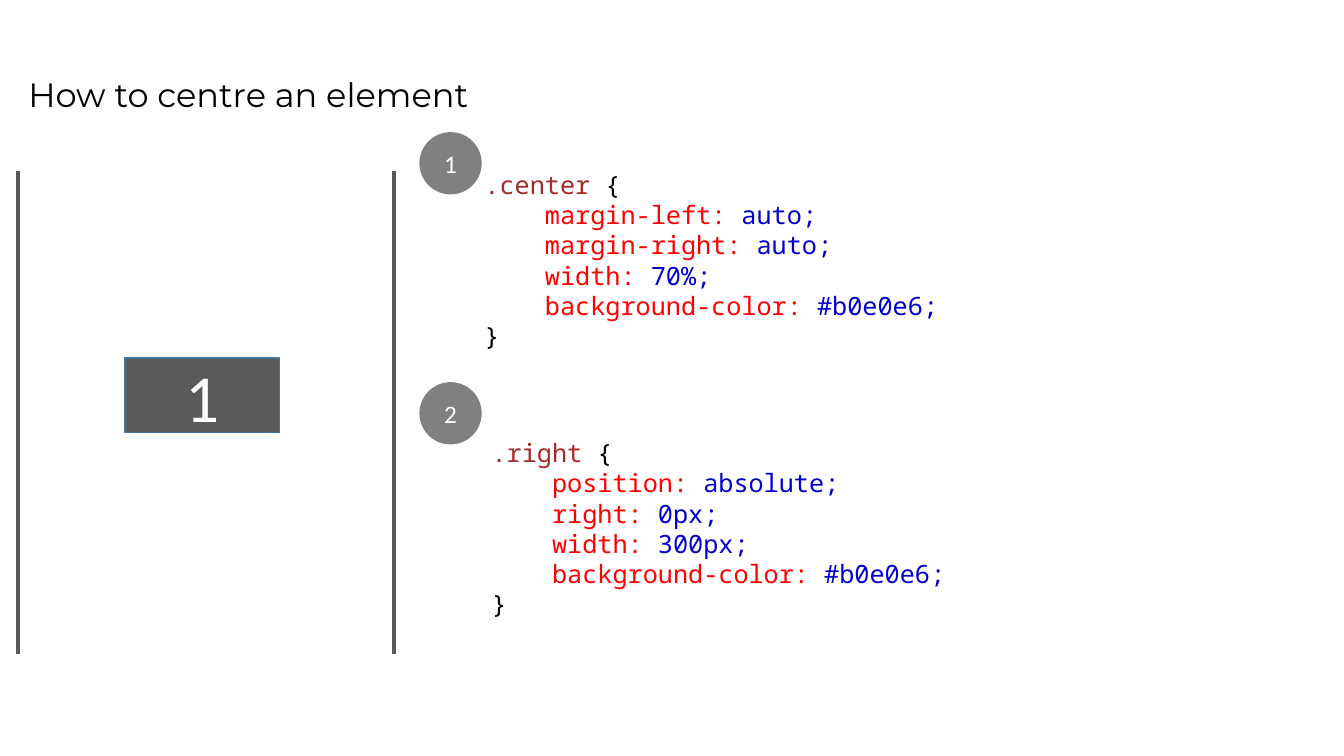
"""Build a slide that shows two CSS ways to place an element."""
from lxml import etree
from pptx import Presentation
from pptx import util as u
from pptx.dml.color import RGBColor
from pptx.enum import shapes, text
from pptx.oxml.ns import qn

TITLE = "How to centre an element"
RULES = [
    ("1", ".center", [("margin-left:", "auto;"), ("margin-right:", "auto;"),
                      ("width:", "70%;"), ("background-color:", "#b0e0e6;")]),
    ("2", ".right", [("position:", "absolute;"), ("right:", "0px;"),
                     ("width:", "300px;"), ("background-color:", "#b0e0e6;")]),
]
CODE_PLACES = [(11.96, 4.14), (12.14, 10.9)]
BADGE_LEFT, BADGE_TOPS, BADGE_SIZE = 10.57, (3.33, 9.63), 1.57
RAIL_LEFTS, RAIL_TOP, RAIL_BOTTOM = (0.46, 9.93), 4.32, 16.48
COLORS = {
    "dark": "595959", "badge": "808080", "edge": "43739E", "white": "FFFFFF",
    "black": "000000", "selector": "A52A2A", "property": "FF0000", "value": "0000CD",
}


def color(name):
    return RGBColor.from_string(COLORS[name])


def add_run(paragraph, words, size, font, color_name):
    run = paragraph.add_run()
    run.text = words
    run.font.size = u.Pt(size)
    run.font.name = font
    run.font.color.rgb = color(color_name)


def add_label(slide, kind, box, fill, label, size):
    shape = slide.shapes.add_shape(kind, *map(u.Cm, box))
    shape.shadow.inherit = False
    shape.fill.solid()
    shape.fill.fore_color.rgb = color(fill)
    shape.line.fill.background()
    shape.text_frame.vertical_anchor = text.MSO_ANCHOR.MIDDLE
    paragraph = shape.text_frame.paragraphs[0]
    paragraph.alignment = text.PP_ALIGN.CENTER
    add_run(paragraph, label, size, "Calibri", "white")
    return shape


def add_code(slide, place, selector, declarations):
    box = slide.shapes.add_textbox(*map(u.Cm, (*place, 16.93, 4.88)))
    box.text_frame.word_wrap = True
    paragraph = box.text_frame.paragraphs[0]
    code_font = (18, "Noto Sans Mono")
    add_run(paragraph, selector + " ", *code_font, "selector")
    add_run(paragraph, "{", *code_font, "black")
    for name, value in declarations:
        paragraph.add_line_break()
        add_run(paragraph, "    " + name, *code_font, "property")
        add_run(paragraph, " " + value, *code_font, "value")
    paragraph.add_line_break()
    add_run(paragraph, "}", *code_font, "black")


def add_rail(slide, left):
    ends = map(u.Cm, (left, RAIL_TOP, left, RAIL_BOTTOM))
    rail = slide.shapes.add_connector(shapes.MSO_CONNECTOR.STRAIGHT, *ends)
    rail.line.color.rgb = color("dark")
    rail.line.width = u.Pt(3)
    etree.SubElement(rail._element.spPr, qn("a:effectLst"))


def set_title(slide):
    title = slide.shapes.title
    title.left, title.top, title.width, title.height = map(u.Cm, (0.46, 1.73, 14.66, 1.27))
    frame = title.text_frame
    frame.word_wrap = True
    frame.auto_size = text.MSO_AUTO_SIZE.NONE
    frame.vertical_anchor = text.MSO_ANCHOR.TOP
    paragraph = frame.paragraphs[0]
    paragraph.alignment = text.PP_ALIGN.LEFT
    paragraph.line_spacing = 1.0
    add_run(paragraph, TITLE, 24, "Montserrat", "black")


def main():
    presentation = Presentation()
    presentation.slide_width, presentation.slide_height = u.Cm(33.87), u.Cm(19.05)
    slide = presentation.slides.add_slide(presentation.slide_layouts[5])
    set_title(slide)
    for left in RAIL_LEFTS:
        add_rail(slide, left)
    element = add_label(slide, shapes.MSO_SHAPE.RECTANGLE, (3.15, 9.02, 3.89, 1.88), "dark", "1", 48)
    element.line.color.rgb = color("edge")
    element.line.width = u.Pt(1)
    for (number, selector, declarations), place, top in zip(RULES, CODE_PLACES, BADGE_TOPS):
        add_code(slide, place, selector, declarations)
        badge_box = (BADGE_LEFT, top, BADGE_SIZE, BADGE_SIZE)
        add_label(slide, shapes.MSO_SHAPE.OVAL, badge_box, "badge", number, 18)
    presentation.save("out.pptx")


if __name__ == "__main__":
    main()
